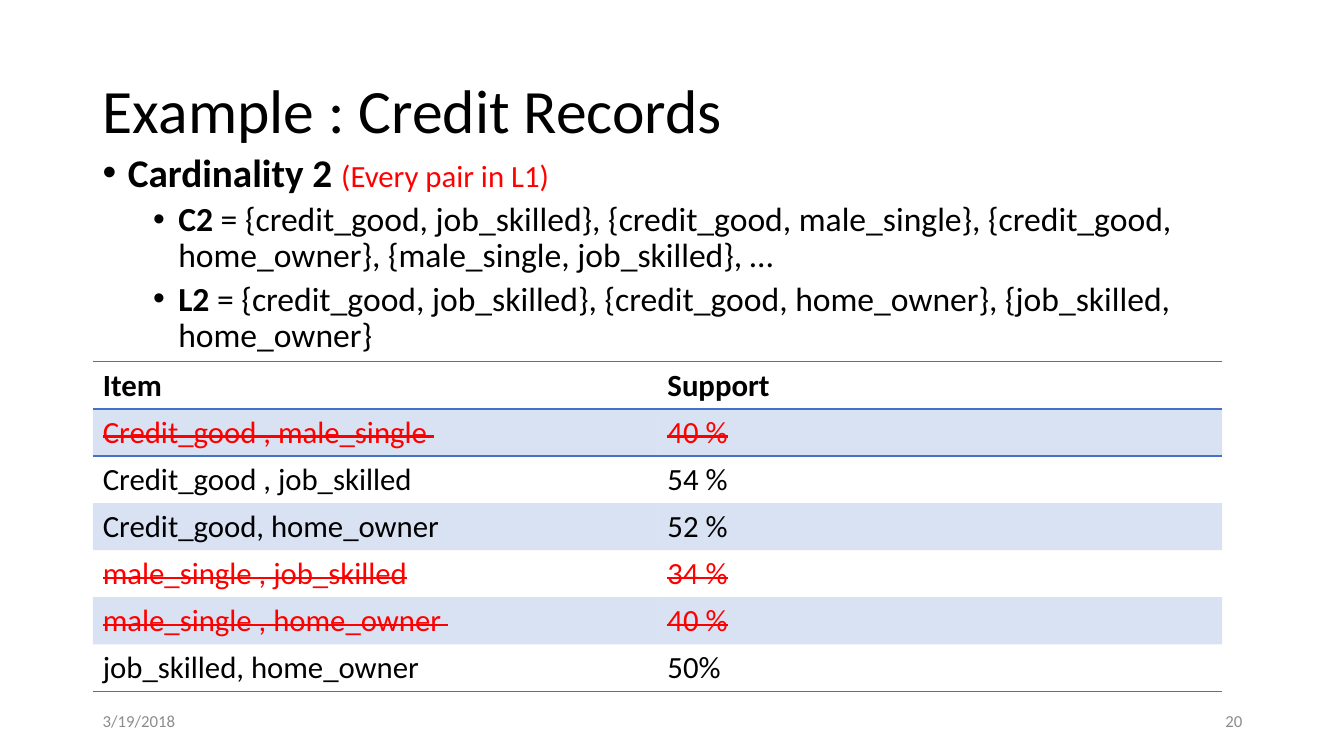
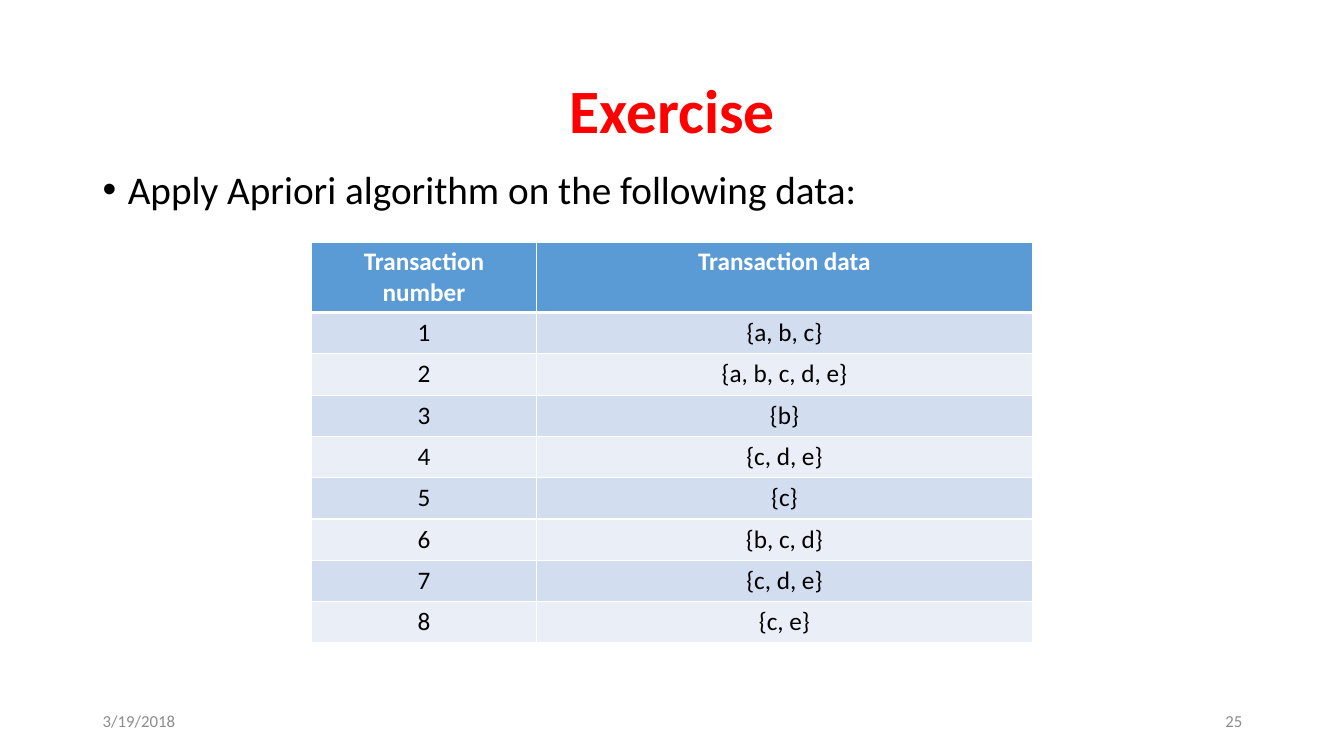
from pptx import Presentation
from pptx.dml.color import RGBColor
from pptx.enum.text import MSO_ANCHOR as Anchor, MSO_AUTO_SIZE as AutoSize, PP_ALIGN as Align
from pptx.oxml.ns import qn
from pptx.util import Inches, Pt
from lxml.etree import SubElement

BLACK, WHITE, RED, GREY = "000000", "FFFFFF", "FF0000", "8C8C8C"
BLUE, HEADER, BAND_DARK, BAND_LIGHT = "4472C4", "5B9BD5", "D2DEEF", "EAEFF7"
LEFT, CONTENT_WIDTH, FOOTER_WIDTH = 0.92, 11.5, 3
ROW_HEIGHT = 0.41
DATE = "3/19/2018"
NO_STYLE = "{2D5ABB26-0587-4C30-8999-92F81FD0307C}"


def style(run, size, colour=BLACK, bold=False):
    run.font.name, run.font.size, run.font.bold = "Calibri", Pt(size), bold
    run.font.color.rgb = RGBColor.from_string(colour)


def dress(cell, edges, fill, alpha=100):
    """Draw the edges (side, colour, points) of a cell, then its fill."""
    props = cell._tc.get_or_add_tcPr()
    for side, colour, points in edges:
        line = SubElement(props, qn("a:ln" + side), w=str(Pt(points)))
        SubElement(SubElement(line, qn("a:solidFill")), qn("a:srgbClr"), val=colour)
    if fill is None:
        cell.fill.background()
        return
    cell.fill.solid()
    cell.fill.fore_color.rgb = RGBColor.from_string(fill)
    if alpha < 100:
        tint = next(props.find(qn("a:solidFill")).iter(qn("a:srgbClr")))
        SubElement(tint, qn("a:alpha"), val=str(alpha * 1000))


# Body paragraphs: level, then runs of (text, size, colour, bold)
pages = [
    dict(title="Example : Credit Records", colour=BLACK, bold=False, align=Align.LEFT,
         number="20", body_top=1.47, body_height=5.29,
         body=[
             (0, [("Cardinality 2 ", 28, BLACK, True), ("(Every pair in L1)", 22, RED, False)]),
             (1, [("C2", 24, BLACK, True),
                  (" = {credit_good, job_skilled}, {credit_good, male_single}, "
                   "{credit_good, home_owner}, {male_single, job_skilled}, …", 24, BLACK, False)]),
             (1, [("L2", 24, BLACK, True),
                  (" = {credit_good, job_skilled}, {credit_good, home_owner}, "
                   "{job_skilled, home_owner}", 24, BLACK, False)]),
         ],
         table_at=(LEFT, 3.59), columns=(5.6, 5.6), cell_size=22, cell_align=Align.LEFT,
         rows=[
             ("Item ", "Support"),
             ("Credit_good , male_single ", "40 %"),
             ("Credit_good , job_skilled", "54 %"),
             ("Credit_good, home_owner ", "52 %"),
             ("male_single , job_skilled", "34 %"),
             ("male_single , home_owner ", "40 %"),
             ("job_skilled, home_owner ", "50%"),
         ],
         rejected=(1, 4, 5), banded=False),
    dict(title="Exercise", colour=RED, bold=True, align=Align.CENTER,
         number="25", body_top=1.64, body_height=4.76,
         body=[(0, [("Apply Apriori algorithm on the following data:", 28, BLACK, False)])],
         table_at=(3.09, 2.4), columns=(2.23, 4.92), cell_size=18, cell_align=Align.CENTER,
         rows=[("Transaction number", "Transaction data")] + [
             (str(number), items) for number, items in enumerate(
                 ("{a, b, c}", "{a, b, c, d, e}", "{b}", "{c, d, e}",
                  "{c}", "{b, c, d}", "{c, d, e}", "{c, e}"), start=1)],
         rejected=(), banded=True),
]

deck = Presentation()
deck.slide_width, deck.slide_height = Inches(13.33), Inches(7.5)

for page in pages:
    slide = deck.slides.add_slide(deck.slide_layouts[5])

    # Title
    title = slide.shapes.title
    title.left, title.top = Inches(LEFT), Inches(0.4)
    title.width, title.height = Inches(CONTENT_WIDTH), Inches(1.45)
    title.text_frame.text = page["title"]
    title.text_frame.auto_size = AutoSize.NONE
    title.text_frame.vertical_anchor = Anchor.MIDDLE
    heading = title.text_frame.paragraphs[0]
    heading.alignment, heading.line_spacing = page["align"], 0.9
    style(heading.runs[0], 44, page["colour"], page["bold"])

    # Bulleted body
    body = slide.shapes.add_textbox(Inches(LEFT), Inches(page["body_top"]),
                                    Inches(CONTENT_WIDTH), Inches(page["body_height"])).text_frame
    body.word_wrap = True
    for index, (level, runs) in enumerate(page["body"]):
        point = body.add_paragraph() if index else body.paragraphs[0]
        point.level, point.line_spacing = level, 0.9
        point.space_before = Pt(5 if level else 10)
        props = point._p.get_or_add_pPr()
        props.set("marL", str(Inches(0.25 + 0.5 * level)))
        props.set("indent", str(Inches(-0.25)))
        SubElement(props, qn("a:buFont"), typeface="Arial")
        SubElement(props, qn("a:buChar"), char="•")
        for text, size, colour, bold in runs:
            run = point.add_run()
            run.text = text
            style(run, size, colour, bold)

    # Table
    rows, columns = page["rows"], page["columns"]
    frame = slide.shapes.add_table(
        len(rows), len(columns), *map(Inches, page["table_at"]),
        Inches(sum(columns)), Inches(ROW_HEIGHT * len(rows)))
    table = frame.table
    next(frame.element.iter(qn("a:tableStyleId"))).text = NO_STYLE
    table.horz_banding = False
    for column, width in zip(table.columns, columns):
        column.width = Inches(width)
    for r, texts in enumerate(rows):
        table.rows[r].height = Inches(ROW_HEIGHT)
        rejected = r in page["rejected"]
        if page["banded"]:
            fill, alpha = (BAND_DARK if r % 2 else BAND_LIGHT) if r else HEADER, 100
            edges = [(side, WHITE, 1) for side in "LR"]
            edges += [("T", WHITE, 3 if r == 1 else 1), ("B", WHITE, 1 if r else 3)]
            ink = BLACK if r else WHITE
        else:
            fill, alpha = (BLUE if r % 2 else None), 20
            edges = [("T", BLUE, 1)] if r in (0, 1) else []
            edges += [("B", BLUE, 1)] if r in (0, len(rows) - 1) else []
            ink = RED if rejected else BLACK
        for c, text in enumerate(texts):
            cell = table.cell(r, c)
            cell.text_frame.text = text
            entry = cell.text_frame.paragraphs[0]
            entry.alignment = page["cell_align"]
            style(entry.runs[0], page["cell_size"], ink, r == 0)
            if rejected:
                entry.runs[0]._r.get_or_add_rPr().set("strike", "sngStrike")
            dress(cell, edges, fill, alpha)

    # Footer: date on the left, slide number on the right
    for left, text, align in (
            (LEFT, DATE, Align.LEFT),
            (LEFT + CONTENT_WIDTH - FOOTER_WIDTH, page["number"], Align.RIGHT)):
        footer = slide.shapes.add_textbox(Inches(left), Inches(6.95),
                                          Inches(FOOTER_WIDTH), Inches(0.4)).text_frame
        footer.word_wrap = True
        footer.vertical_anchor = Anchor.MIDDLE
        footer.text = text
        footer.paragraphs[0].alignment = align
        style(footer.paragraphs[0].runs[0], 12, GREY)

deck.save("out.pptx")
